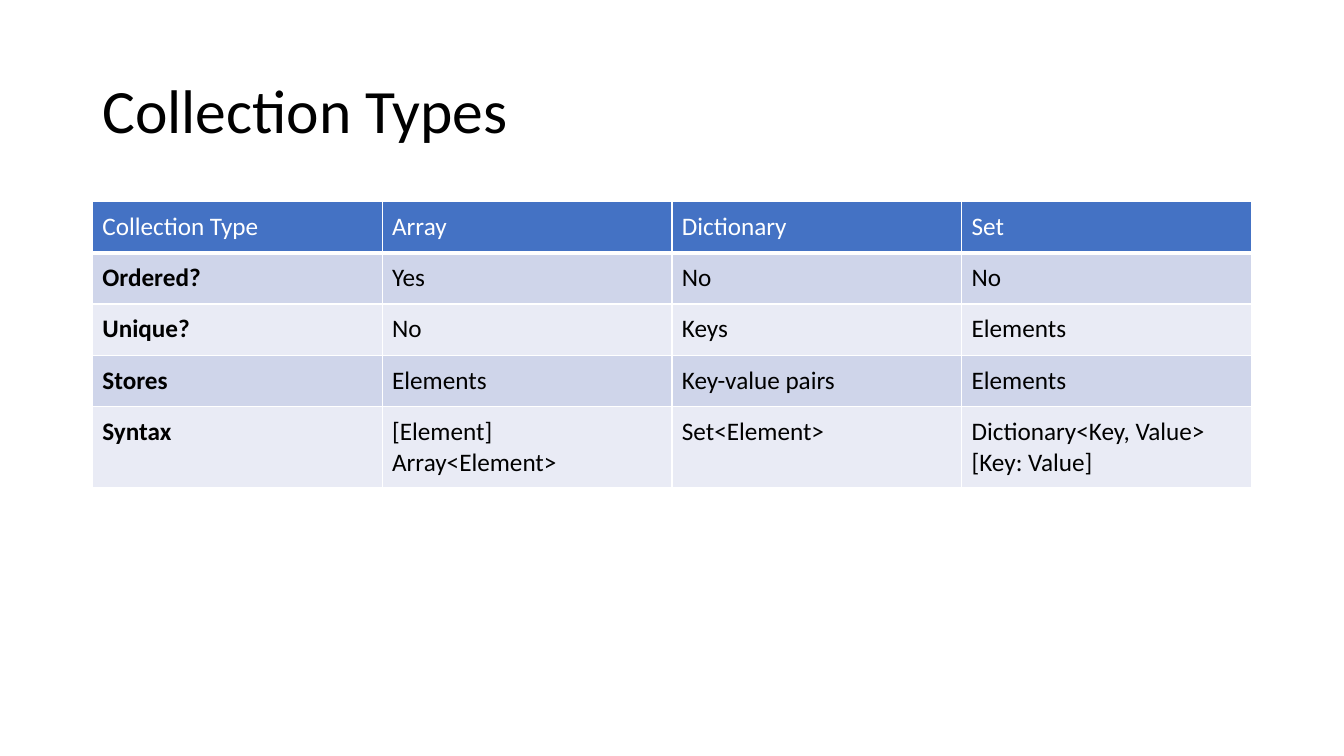
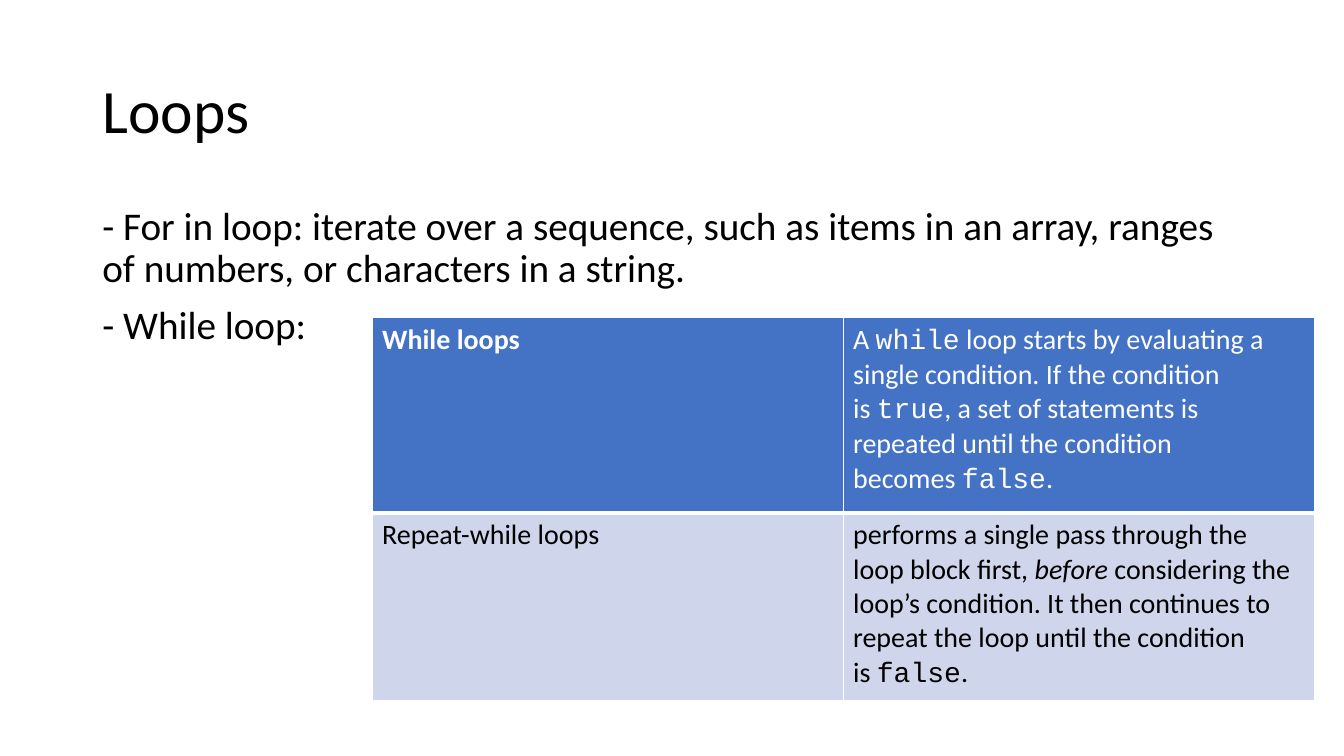
"""Build two slides on collection types and loops."""
from dataclasses import dataclass

from lxml import etree
from pptx import Presentation
from pptx.dml.color import RGBColor
from pptx.enum.text import MSO_ANCHOR
from pptx.oxml.ns import qn
from pptx.util import Cm, Pt

TOP, MID = MSO_ANCHOR.TOP, MSO_ANCHOR.MIDDLE


@dataclass(frozen=True)
class Theme:
    white: str = "FFFFFF"
    black: str = "000000"
    head: str = "4472C4"
    bands: tuple = ("CFD5EA", "E9EBF5")
    font: str = "Calibri"
    mono: str = "Courier New"
    title: int = 44
    body: int = 28
    grid: int = 18
    note: int = 20
    thin: int = 1
    thick: int = 3
    left: float = 2.33
    wide: float = 29.21
    top: float = 5.08


THEME = Theme()

TYPES = [
    ["Collection Type", "Array", "Dictionary", "Set"],
    ["Ordered?", "Yes", "No", "No"],
    ["Unique?", "No", "Keys", "Elements"],
    ["Stores", "Elements", "Key-value pairs", "Elements"],
    ["Syntax", "[Element]\nArray<Element>", "Set<Element>",
     "Dictionary<Key, Value>\n[Key: Value]"],
]

LOOPS = [
    ["While loops",
     "A\u00a0`while`\u00a0loop starts by evaluating a single condition. "
     "If the condition is\u00a0`true`, a set of statements is repeated "
     "until the condition becomes\u00a0`false`."],
    ["Repeat-while loops",
     "performs a single pass through the loop block first,\u00a0*before*"
     "\u00a0considering the loop\u2019s condition. It then continues to "
     "repeat the loop until the condition is\u00a0`false`."],
]

POINTS = [
    "- For in loop:\u00a0iterate over a sequence, such as items in an array, "
    "ranges of numbers, or characters in a string.",
    "- While loop:\u00a0",
]


def style(run, size, color, bold=False, code=False, slant=False):
    font = run.font
    font.name = THEME.mono if code else THEME.font
    font.size = Pt(size)
    font.color.rgb = RGBColor.from_string(color)
    font.bold = bold
    font.italic = slant


def add_text(slide, top, high, lines, size, anchor=TOP, gap=0):
    box = slide.shapes.add_textbox(
        Cm(THEME.left), Cm(top), Cm(THEME.wide), Cm(high))
    frame = box.text_frame
    frame.word_wrap = True
    frame.vertical_anchor = anchor
    frame.text = "\n".join(lines)
    for para in frame.paragraphs:
        para.line_spacing = 0.9
        para.space_before = Pt(gap)
        for run in para.runs:
            style(run, size, THEME.black)


def add_title(slide, text):
    add_text(slide, 1.01, 3.68, [text], THEME.title, MID)


def add_rule(cell, side, width):
    line = etree.SubElement(cell._tc.get_or_add_tcPr(), qn("a:ln" + side))
    line.set("w", str(Pt(width)))
    fill = etree.SubElement(line, qn("a:solidFill"))
    etree.SubElement(fill, qn("a:srgbClr")).set("val", THEME.white)


def write(cell, text, size, color, bold):
    cell.text = text
    for para, line in zip(cell.text_frame.paragraphs, text.split("\n")):
        para.text = ""
        for code, part in enumerate(line.split("`")):
            for slant, bit in enumerate(part.split("*")):
                run = para.add_run()
                run.text = bit
                style(run, size, color, bold, code % 2 == 1, slant % 2 == 1)


def paint(cell, row):
    for side in "LRTB":
        edge = (side, row) in (("B", 0), ("T", 1))
        add_rule(cell, side, THEME.thick if edge else THEME.thin)
    cell.fill.solid()
    color = THEME.bands[(row - 1) % 2] if row else THEME.head
    cell.fill.fore_color.rgb = RGBColor.from_string(color)


def add_grid(slide, data, left, top, width, highs, size, bold, pad=0.13,
             anchor=TOP):
    count = len(data[0])
    table = slide.shapes.add_table(
        len(data), count, Cm(left), Cm(top),
        Cm(width * count), Cm(sum(highs))).table
    table.first_row = table.horz_banding = False
    for col in table.columns:
        col.width = Cm(width)
    for row, (texts, high) in enumerate(zip(data, highs)):
        table.rows[row].height = Cm(high)
        for col, text in enumerate(texts):
            cell = table.cell(row, col)
            cell.margin_left = cell.margin_right = Cm(0.25)
            cell.margin_top = cell.margin_bottom = Cm(pad)
            cell.vertical_anchor = TOP if row else anchor
            paint(cell, row)
            color = THEME.black if row else THEME.white
            write(cell, text, size, color, col == 0 and row in bold)


def add_types(slide):
    add_title(slide, "Collection Types")
    highs = [1.29] * 4 + [2.05]
    add_grid(slide, TYPES, THEME.left, THEME.top, THEME.wide / 4, highs,
             THEME.grid, range(1, 5), 0.25, MID)


def add_loops(slide):
    add_title(slide, "Loops")
    add_text(slide, THEME.top, 12.09, POINTS, THEME.body, gap=10)
    add_grid(slide, LOOPS, 9.38, 8, 11.87, [4.93, 4.72], THEME.note, [0])


def main():
    deck = Presentation()
    deck.slide_width, deck.slide_height = Cm(33.87), Cm(19.05)
    for build in (add_types, add_loops):
        build(deck.slides.add_slide(deck.slide_layouts[6]))
    deck.save("out.pptx")


main()
